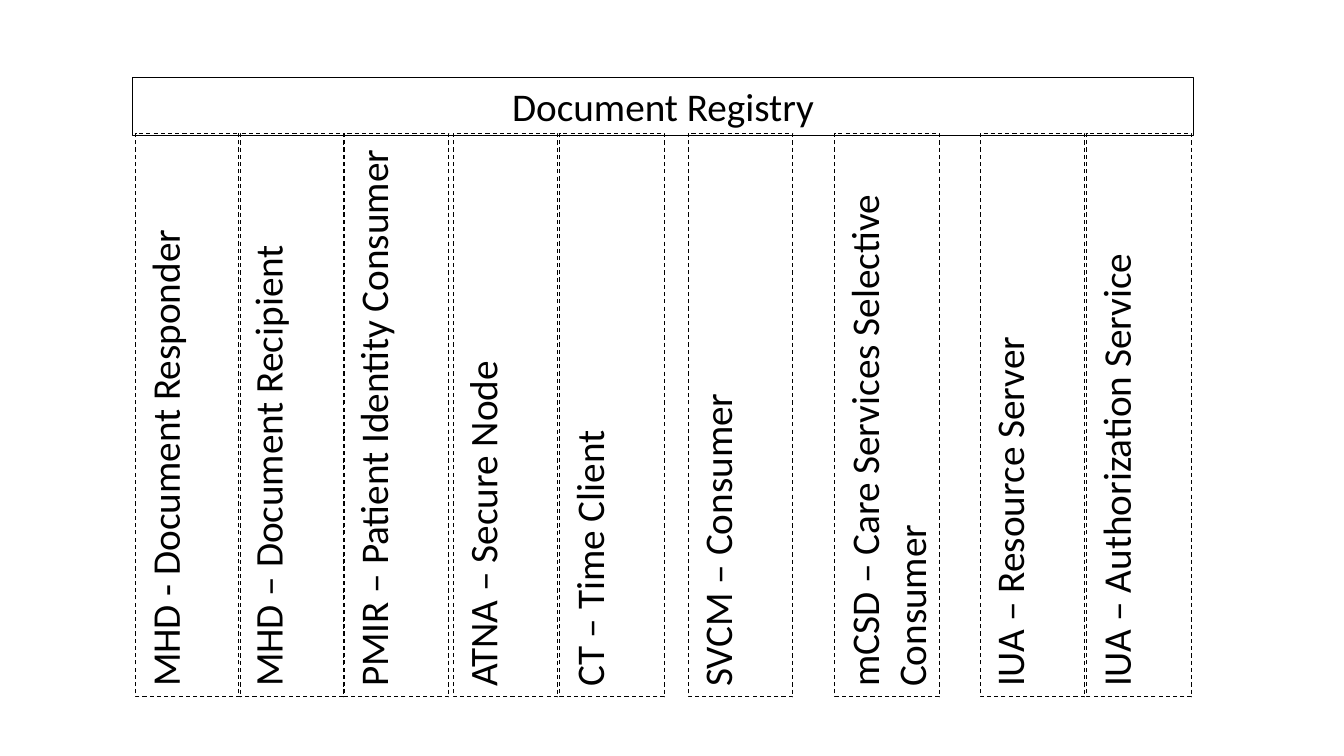
from pptx import Presentation
from pptx.dml.color import RGBColor
from pptx.enum.dml import MSO_LINE
from pptx.enum.text import MSO_ANCHOR, MSO_AUTO_SIZE, PP_ALIGN
from pptx.util import Cm, Pt


def color(code):
    return RGBColor.from_string(code)


def write(frame, text, font="Calibri", size=28, ink="000000", align=PP_ALIGN.LEFT):
    frame.word_wrap = True
    frame.auto_size = MSO_AUTO_SIZE.SHAPE_TO_FIT_TEXT
    frame.vertical_anchor = MSO_ANCHOR.TOP
    para = frame.paragraphs[0]
    para.alignment = align
    run = para.add_run()
    run.text = text
    run.font.name = font
    run.font.size = Pt(size)
    run.font.color.rgb = color(ink)


class Board:
    """Draw labelled frames on one slide in a shared style."""

    ink = "000000"
    width = 0.75

    def __init__(self, slide):
        self.slide = slide

    def box(self, left, top, wide, high, text, **style):
        box = self.slide.shapes.add_textbox(Cm(left), Cm(top), Cm(wide), Cm(high))
        box.line.color.rgb = color(self.ink)
        box.line.width = Pt(self.width)
        write(box.text_frame, text, ink=self.ink, **style)
        return box

    def column(self, left, top, wide, high, text):
        shift = (high - wide) / 2
        box = self.box(left - shift, top + shift, high, wide, text)
        box.rotation = 270
        box.line.dash_style = MSO_LINE.DASH


ACTORS = [
    (3.42, "MHD - Document Responder"),
    (6.01, "MHD – Document Recipient"),
    (8.67, "PMIR – Patient Identity Consumer"),
    (11.42, "ATNA – Secure Node"),
    (14.11, "CT – Time Client"),
    (17.34, "SVCM – Consumer"),
    (21.04, "mCSD – Care Services Selective Consumer"),
    (24.7, "IUA – Resource Server"),
    (27.39, "IUA – Authorization Service"),
]


def main():
    deck = Presentation()
    deck.slide_width = Cm(33.87)
    deck.slide_height = Cm(19.05)
    board = Board(deck.slides.add_slide(deck.slide_layouts[6]))
    board.box(3.35, 1.96, 26.72, 1.45, "Document Registry", align=PP_ALIGN.CENTER)
    for left, name in ACTORS:
        board.column(left, 3.36, 2.64, 14.2, name)
    deck.save("out.pptx")


if __name__ == "__main__":
    main()
